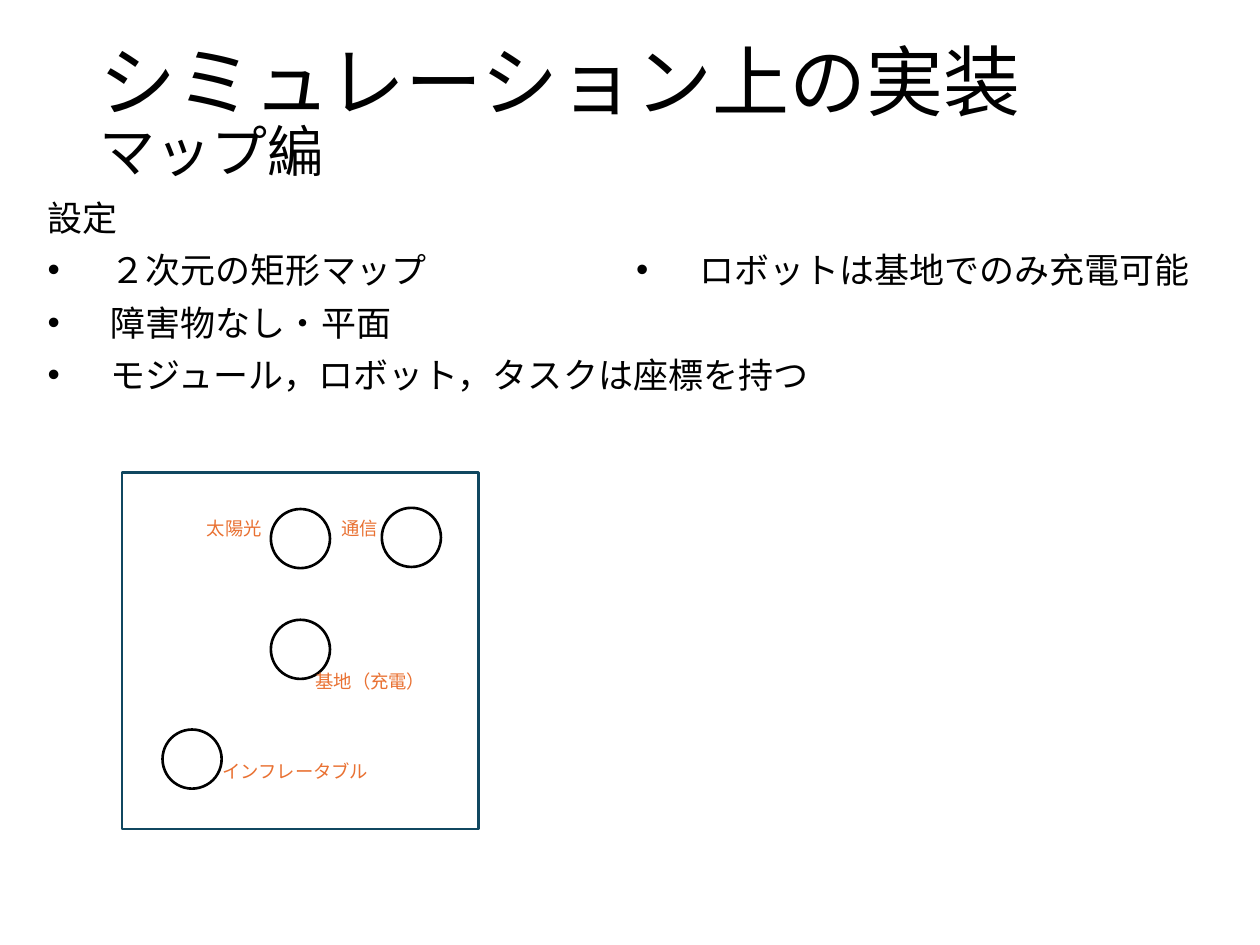
from dataclasses import dataclass

import pptx
import pptx.dml.color
import pptx.enum.shapes
import pptx.enum.text
import pptx.oxml.ns
import pptx.util
from lxml import etree

Pt = pptx.util.Pt
Align = pptx.enum.text.PP_ALIGN
Preset = pptx.enum.shapes.MSO_SHAPE
FONT = "Noto Sans CJK JP"
BLACK, WHITE, NAVY, ORANGE = "000000", "FFFFFF", "104760", "E97132"
MODULE_SIZE = 33.8
BODY_TOP = 106.6
BODY_PITCH = 30


@dataclass(frozen=True)
class Frame:
    left: float
    top: float
    width: float
    height: float

    def lengths(self) -> tuple:
        return Pt(self.left), Pt(self.top), Pt(self.width), Pt(self.height)


@dataclass(frozen=True)
class Module:
    name: str
    left: float
    top: float
    label: Frame


MODULES = [
    Module("インフレータブル", 92.9, 416.9, Frame(119.5, 429.8, 98.6, 20.2)),
    Module("太陽光", 154.8, 290.9, Frame(102.2, 290.9, 63.4, 20.2)),
    Module("通信", 218.2, 290.2, Frame(168.5, 290.9, 74.2, 20.2)),
    Module("基地（充電）", 154.8, 354.2, Frame(171.4, 378.7, 80.6, 20.2)),
]
SETTINGS = ["２次元の矩形マップ", "障害物なし・平面", "モジュール，ロボット，タスクは座標を持つ"]


def colour(value: str) -> pptx.dml.color.RGBColor:
    return pptx.dml.color.RGBColor.from_string(value)


def add_outline(page, preset, frame: Frame, line: str, fill: str | None = None) -> None:
    shape = page.shapes.add_shape(preset, *frame.lengths())
    shape.shadow.inherit = False
    if fill:
        shape.fill.solid()
        shape.fill.fore_color.rgb = colour(fill)
    else:
        shape.fill.background()
    shape.line.color.rgb = colour(line)
    shape.line.width = Pt(1.5)


def add_box(page, frame: Frame, inset: float, wrap: bool = True):
    box = page.shapes.add_textbox(*frame.lengths())
    text_frame = box.text_frame
    text_frame.word_wrap = wrap
    text_frame.margin_top = Pt(inset)
    return text_frame


def add_span(para, text: str, *, size: float, tint: str = BLACK) -> None:
    span = para.add_run()
    span.text = text
    span.font.size = Pt(size)
    span.font.name = FONT
    span.font.color.rgb = colour(tint)
    east_asian = etree.Element(pptx.oxml.ns.qn("a:ea"), typeface=FONT)
    span.font._element.find(pptx.oxml.ns.qn("a:latin")).addnext(east_asian)


def add_bullet(para) -> None:
    properties = para._p.get_or_add_pPr()
    properties.set("marL", str(Pt(36)))
    properties.set("indent", str(-Pt(36)))
    etree.SubElement(properties, pptx.oxml.ns.qn("a:buFont"), typeface="Arial")
    etree.SubElement(properties, pptx.oxml.ns.qn("a:buChar"), char="•")


def write_para(para, text: str, *, size: float, spacing: float, align=Align.JUSTIFY,
               after: float = 0, tint: str = BLACK, bullet: bool = False) -> None:
    if bullet:
        add_bullet(para)
    para.alignment = align
    para.line_spacing = Pt(spacing)
    para.space_after = Pt(after)
    add_span(para, text, size=size, tint=tint)


def add_title(page) -> None:
    para = add_box(page, Frame(49.7, 8.6, 620.6, 104.4), 30.5).paragraphs[0]
    write_para(para, "シミュレーション上の実装", size=44, spacing=33, align=Align.LEFT)
    para.add_line_break()
    add_span(para, "マップ編", size=32)


def add_body(page) -> None:
    settings = add_box(page, Frame(20.2, BODY_TOP, 676.8, 122.4), 5.6)
    style = dict(size=20, spacing=24, after=6)
    write_para(settings.paragraphs[0], "設定", **style)
    for text in SETTINGS:
        write_para(settings.add_paragraph(), text, bullet=True, **style)
    charging = add_box(page, Frame(356.4, BODY_TOP + BODY_PITCH, 339.8, 32), 5.6)
    write_para(charging.paragraphs[0], "ロボットは基地でのみ充電可能",
               align=Align.LEFT, bullet=True, **style)


def add_map(page) -> None:
    add_outline(page, Preset.RECTANGLE, Frame(69.8, 270, 203.8, 203.8), NAVY, WHITE)
    for module in MODULES:
        add_outline(page, Preset.OVAL,
                    Frame(module.left, module.top, MODULE_SIZE, MODULE_SIZE), BLACK)
    for module in MODULES:
        label = add_box(page, module.label, 4.3, wrap=False)
        write_para(label.paragraphs[0], module.name, size=10.5, spacing=12.6,
                   align=Align.CENTER, tint=ORANGE)


def main() -> None:
    deck = pptx.Presentation()
    deck.slide_width, deck.slide_height = Pt(720), Pt(540)
    page = deck.slides.add_slide(deck.slide_layouts[6])
    add_map(page)
    add_title(page)
    add_body(page)
    deck.save("out.pptx")


if __name__ == "__main__":
    main()
